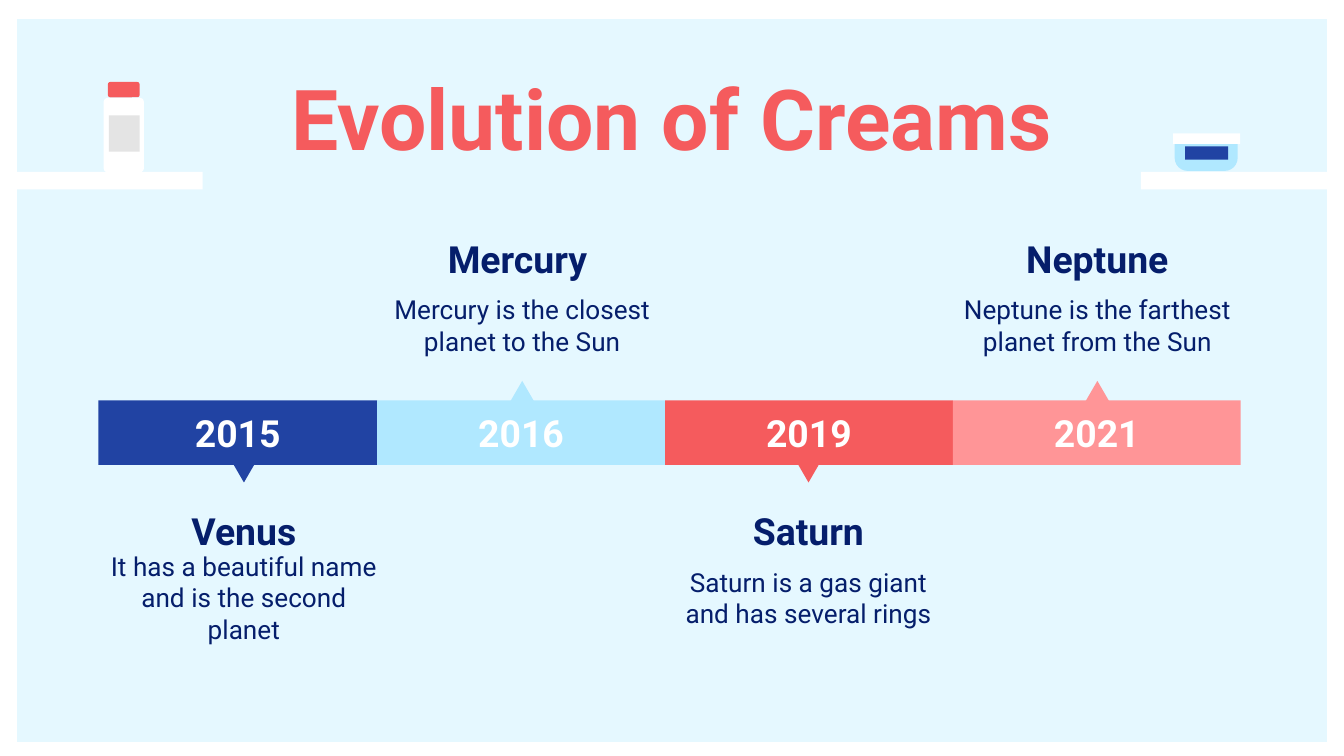
from pptx import Presentation
from pptx.dml.color import RGBColor
from pptx.enum.shapes import MSO_SHAPE
from pptx.enum.text import MSO_ANCHOR, PP_ALIGN
from pptx.util import Cm, Pt

NAVY, BLUE, SKY = "051E6B", "2143A3", "B0E8FF"
RED, PINK, WHITE = "F55B5D", "FF9597", "FFFFFF"

deck = Presentation()
deck.slide_width, deck.slide_height = Cm(25.4), Cm(14.29)
slide = deck.slides.add_slide(deck.slide_layouts[6])


def draw(kind, x, y, w, h, color, round=None, turn=0):
    """Add a filled shape, or a bare text box when kind is None."""
    place = Cm(x), Cm(y), Cm(w), Cm(h)
    if kind is None:
        return slide.shapes.add_textbox(*place)
    shape = slide.shapes.add_shape(kind, *place)
    shape.shadow.inherit = False
    shape.fill.solid()
    shape.fill.fore_color.rgb = RGBColor.from_string(color)
    shape.line.fill.background()
    shape.rotation = turn
    if round is not None:
        shape.adjustments[0] = round
    return shape


def write(shape, text, size=20, color=NAVY, bold=True, after=0, lead=1.0):
    frame = shape.text_frame
    frame.word_wrap = True
    frame.vertical_anchor = MSO_ANCHOR.MIDDLE
    frame.margin_left = frame.margin_right = Cm(0.25)
    frame.margin_top = frame.margin_bottom = Cm(0.25)
    para = frame.paragraphs[0]
    para.alignment = PP_ALIGN.CENTER
    para.line_spacing = lead
    para.space_after = Pt(after)
    run = para.add_run()
    run.text = text
    run.font.name, run.font.size, run.font.bold = "Roboto", Pt(size), bold
    run.font.color.rgb = RGBColor.from_string(color)


# Background and white frame
back = slide.background.fill
back.solid()
back.fore_color.rgb = RGBColor.from_string("E5F8FF")
frame = draw(MSO_SHAPE.RECTANGLE, 0, 0.05, 25.4, 14.29, WHITE)
frame.fill.background()
frame.line.color.rgb = RGBColor.from_string(WHITE)
frame.line.width = Pt(18)

# Shelves
for x in (0.3, 21.56):
    draw(MSO_SHAPE.RECTANGLE, x, 3.25, 3.53, 0.33, WHITE)

# Jar: bowl, lid, label
draw(MSO_SHAPE.ROUND_2_SAME_RECTANGLE, 22.2, 2.62, 1.19, 0.61, SKY, 0.4, 180)
draw(MSO_SHAPE.RECTANGLE, 22.17, 2.52, 1.27, 0.2, WHITE)
draw(MSO_SHAPE.RECTANGLE, 22.4, 2.77, 0.81, 0.25, BLUE)

# Bottle: cap, body, label
draw(MSO_SHAPE.ROUNDED_RECTANGLE, 2.04, 1.55, 0.6, 0.29, RED, 0.16)
draw(MSO_SHAPE.ROUNDED_RECTANGLE, 1.96, 1.85, 0.76, 1.41, WHITE, 0.1)
draw(MSO_SHAPE.RECTANGLE, 2.06, 2.18, 0.58, 0.69, "E4E4E4")

# Title
title = draw(None, 1.96, 1.27, 21.46, 1.6, None)
write(title, "Evolution of Creams", size=45, color=RED, lead=1.15)

# Timeline: year, colour, bar width, text centre, name, detail
steps = [
    ("2015", BLUE, 5.27, 4.61, "Venus",
     "It has a beautiful name and is the second planet"),
    ("2016", SKY, 5.44, 9.87, "Mercury ",
     "Mercury is the closest planet to the Sun"),
    ("2019", RED, 5.44, 15.28, "Saturn",
     "Saturn is a gas giant and has several rings"),
    ("2021", PINK, 5.44, 20.74, "Neptune",
     "Neptune is the farthest planet from the Sun"),
]
left = 1.86
for i, (year, color, width, mid, name, detail) in enumerate(steps):
    bar = draw(MSO_SHAPE.RECTANGLE, left, 7.57, width, 1.22, color)
    write(bar, year, color=WHITE)
    left += width

    # Odd steps hang below the bar, even ones stand above it
    tip, top, turn = (8.74, 9.42, 180) if i % 2 == 0 else (7.2, 4.27, 0)
    draw(MSO_SHAPE.ISOSCELES_TRIANGLE, mid - 0.22, tip, 0.44, 0.38, color,
         turn=turn)
    write(draw(None, mid - 2.88, top, 5.76, 1.22, None), name, after=12)
    write(draw(None, mid - 2.88, top + 1.2, 5.76, 1.35, None), detail,
          size=14, bold=False, after=12)

deck.save("out.pptx")
